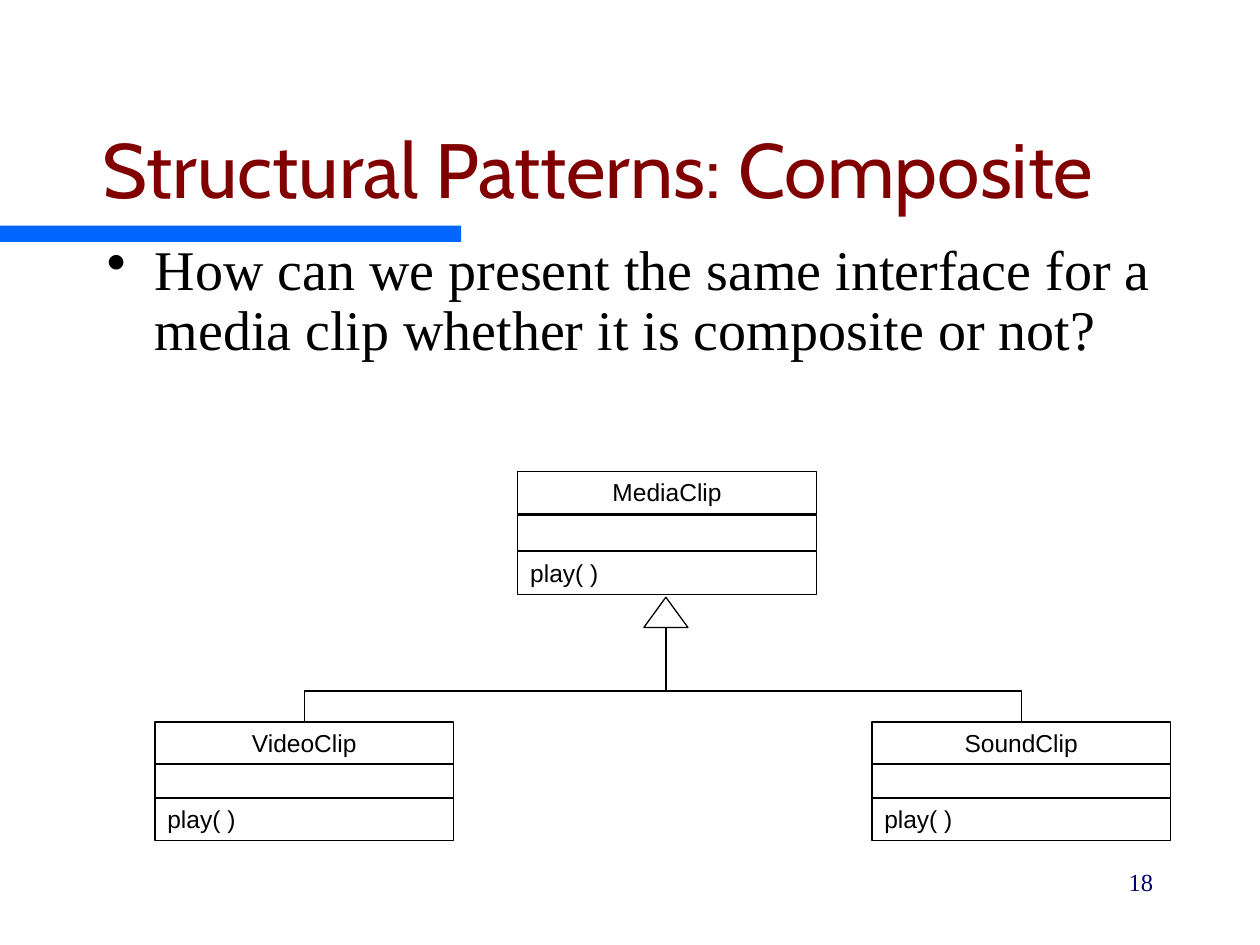
from lxml import etree
from pptx import Presentation
from pptx import util as u
from pptx.dml.color import RGBColor
from pptx.enum import shapes, text
from pptx.oxml.ns import qn

BLACK = RGBColor(0, 0, 0)
WHITE = RGBColor(255, 255, 255)
MAROON = RGBColor(0x80, 0, 0)
BLUE = RGBColor(0, 0x66, 0xFF)
NAVY = RGBColor(0, 0, 0x66)
LINE_WIDTH = u.Pt(0.75)
ROW, FIELDS = 0.34, 0.28


def inches(*values):
    """Convert lengths in inches to EMU."""
    return [u.Inches(v) for v in values]


def write(tf, words, size, font, color, align, anchor=text.MSO_ANCHOR.TOP):
    """Write one run into a text frame and return its paragraph."""
    tf.word_wrap = True
    tf.vertical_anchor = anchor
    p = tf.paragraphs[0]
    p.alignment = align
    r = p.add_run()
    r.text = words
    r.font.size, r.font.name = u.Pt(size), font
    r.font.color.rgb = color
    return p


def outline(sp):
    """Give a shape or connector the thin black diagram line."""
    sp.line.color.rgb = BLACK
    sp.line.width = LINE_WIDTH


def add_header(s, box, words):
    """Place the title in its box and the accent bar beneath it."""
    x, y, w, h = box
    bar = s.shapes.add_shape(shapes.MSO_SHAPE.RECTANGLE, *inches(0, y + h + 0.04, 3.66, 0.13))
    bar.shadow.inherit = False
    bar.fill.solid()
    bar.fill.fore_color.rgb = BLUE
    bar.line.fill.background()
    title = s.shapes.title
    title.left, title.top, title.width, title.height = inches(*box)
    write(title.text_frame, words, 44, "Cabin", MAROON, text.PP_ALIGN.CENTER, text.MSO_ANCHOR.BOTTOM)


def add_bullet(s, box, words):
    """Place the bulleted question in its box."""
    tf = s.shapes.add_textbox(*inches(*box)).text_frame
    pPr = tf.paragraphs[0]._p.get_or_add_pPr()
    pPr.set("marL", str(u.Inches(0.38)))
    pPr.set("indent", str(-u.Inches(0.38)))
    color = etree.SubElement(pPr, qn("a:buClr"))
    etree.SubElement(color, qn("a:srgbClr"), val=str(BLACK))
    etree.SubElement(pPr, qn("a:buChar"), char="•")
    p = write(tf, words, 32, "Times New Roman", BLACK, text.PP_ALIGN.LEFT)
    p.line_spacing = 0.9


def add_class(s, box, name, method):
    """Stack the name, field and method compartments of a class in its box."""
    x, y, w, h = box
    rows = [
        (y, ROW, name, text.PP_ALIGN.CENTER),
        (y + (h - FIELDS) / 2, FIELDS, "", text.PP_ALIGN.LEFT),
        (y + h - ROW, ROW, method, text.PP_ALIGN.LEFT),
    ]
    for top, height, words, align in rows:
        sp = s.shapes.add_shape(shapes.MSO_SHAPE.RECTANGLE, *inches(x, top, w, height))
        sp.shadow.inherit = False
        sp.fill.background()
        outline(sp)
        if words:
            write(sp.text_frame, words, 14, "Arial", BLACK, align)


def add_line(s, kind, x1, y1, x2, y2):
    """Draw a plain connector between two points."""
    line = s.shapes.add_connector(kind, *inches(x1, y1, x2, y2))
    outline(line)
    etree.SubElement(line._element.spPr, qn("a:effectLst"))
    return line


def add_branch(s, x1, y1, x2, y2):
    """Draw an elbow that leaves and arrives vertically."""
    cx, cy = (x1 + x2) / 2, (y1 + y2) / 2
    across, down = abs(x2 - x1) / 2, (y2 - y1) / 2
    turn = down if x2 < x1 else -down
    line = add_line(s, shapes.MSO_CONNECTOR.ELBOW, cx - turn, cy - across, cx + turn, cy + across)
    line._element.spPr.xfrm.set("rot", str((90 if x2 < x1 else 270) * 60000))


def add_inheritance(s, box, children, child_top):
    """Draw the hollow arrowhead in its box, its stem and a branch to each child."""
    x, y, w, h = box
    mid, base, fork = x + w / 2, y + h, y + 0.5
    builder = s.shapes.build_freeform(u.Inches(mid), u.Inches(y))
    builder.add_line_segments([inches(x + w, base), inches(x, base)], close=True)
    head = builder.convert_to_shape()
    head.shadow.inherit = False
    head.fill.solid()
    head.fill.fore_color.rgb = WHITE
    outline(head)
    add_line(s, shapes.MSO_CONNECTOR.STRAIGHT, mid, base, mid, fork)
    for child in children:
        add_branch(s, mid, fork, child, child_top)


def add_diagram(s, box):
    """Place the parent class over its two subclasses in the box."""
    x, y, w, h = box
    width, child_h = 2.37, 0.94
    child_top = y + h - child_h
    lefts = [x, x + w - width]
    add_class(s, (x + 2.88, y, width, 0.98), "MediaClip", "play( )")
    for left, name in zip(lefts, ["VideoClip", "SoundClip"]):
        add_class(s, (left, child_top, width, child_h), name, "play( )")
    centers = [left + width / 2 for left in lefts]
    add_inheritance(s, (x + 3.88, y + 1, 0.35, 0.24), centers, child_top)


def add_number(s, box, number):
    """Place the slide number in its box."""
    tf = s.shapes.add_textbox(*inches(*box)).text_frame
    write(tf, number, 14, "Times New Roman", NAVY, text.PP_ALIGN.RIGHT)


def main():
    """Build and save the slide."""
    prs = Presentation()
    prs.slide_width, prs.slide_height = inches(10, 7.5)
    s = prs.slides.add_slide(prs.slide_layouts[5])
    add_header(s, (0.25, 0.5, 9, 1.25), "Structural Patterns: Composite")
    add_diagram(s, (1.23, 3.74, 8.06, 2.93))
    add_bullet(s, (0.75, 1.87, 8.5, 1.32),
               "How can we present the same interface for a media clip whether it is composite or not?")
    add_number(s, (7.17, 6.83, 2.08, 0.5), "18")
    prs.save("out.pptx")


if __name__ == "__main__":
    main()
